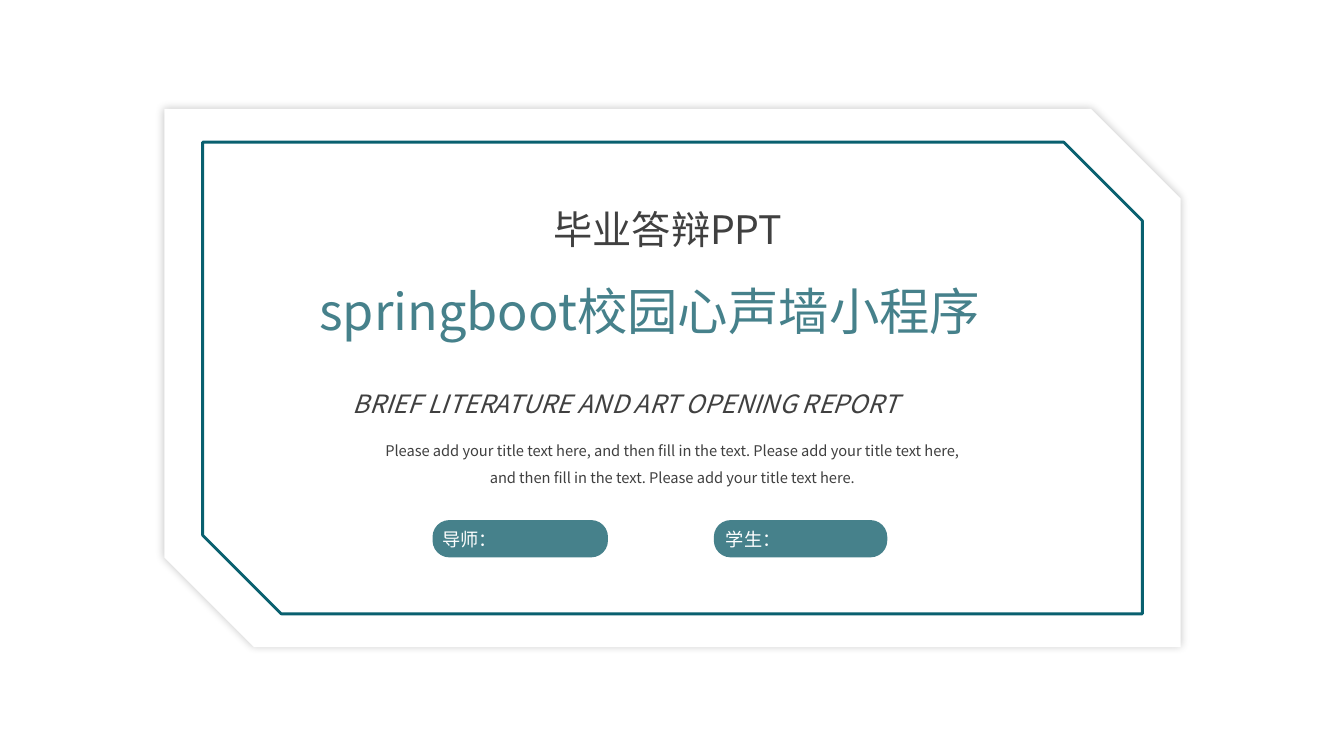
import pptx
import pptx.dml.color
import pptx.enum.shapes
import pptx.enum.text
import pptx.oxml
import pptx.oxml.ns
import pptx.util

Inches = pptx.util.Inches
SHAPE = pptx.enum.shapes.MSO_SHAPE
ALIGN = pptx.enum.text.PP_ALIGN
FONT = "Noto Sans CJK SC"
COLOURS = {"white": "FFFFFF", "teal": "46818B", "frame": "09606F", "text": "404040"}


def colour(name):
    return pptx.dml.color.RGBColor.from_string(COLOURS[name])


def add_panel(shapes, kind, place, fill=None, line=None):
    panel = shapes.add_shape(kind, *map(Inches, place))
    panel.shadow.inherit = False
    if fill:
        panel.fill.solid()
        panel.fill.fore_color.rgb = colour(fill)
    else:
        panel.fill.background()
    if line:
        panel.line.color.rgb = colour(line)
        panel.line.width = pptx.util.Pt(2)
    else:
        panel.line.fill.background()
    return panel


def add_glow_shadow(panel):
    effects = panel.element.spPr.find(pptx.oxml.ns.qn("a:effectLst"))
    effects.append(pptx.oxml.parse_xml(
        f'<a:outerShdw {pptx.oxml.ns.nsdecls("a")} blurRad="{pptx.util.Pt(6)}" '
        'dist="0" dir="0" rotWithShape="0"><a:srgbClr val="000000">'
        '<a:alpha val="22000"/></a:srgbClr></a:outerShdw>'))


def write(box, text, size, tint="text", align=ALIGN.CENTER, italic=False,
          spacing=1.0, right_inset=0.1):
    frame = box.text_frame
    frame.word_wrap = True
    frame.auto_size = pptx.enum.text.MSO_AUTO_SIZE.NONE
    frame.vertical_anchor = pptx.enum.text.MSO_ANCHOR.MIDDLE
    frame.margin_top = frame.margin_bottom = 0
    frame.margin_left = Inches(0.1)
    frame.margin_right = Inches(right_inset)
    para = frame.paragraphs[0]
    para.alignment = align
    para.line_spacing = spacing
    span = para.add_run()
    span.text = text
    span.font.name = FONT
    span.font.size = pptx.util.Pt(size)
    span.font.bold = False
    span.font.italic = italic
    span.font.color.rgb = colour(tint)
    span.font.fill.fore_color.rgb = colour(tint)
    latin = span.font._element.find(pptx.oxml.ns.qn("a:latin"))
    latin.addnext(pptx.oxml.parse_xml(
        f'<a:ea {pptx.oxml.ns.nsdecls("a")} typeface="{FONT}"/>'))


def add_text(shapes, place, text, size, **style):
    write(shapes.add_textbox(*map(Inches, place)), text, size, **style)


def add_title(page, place, text, size, **style):
    title = page.shapes.title
    title.left, title.top, title.width, title.height = map(Inches, place)
    write(title, text, size, **style)
    return title


def add_name_tag(page, text, pill_place, label_place):
    group = page.shapes.add_group_shape()
    pill = add_panel(group.shapes, SHAPE.ROUNDED_RECTANGLE, pill_place, fill="teal")
    pill.adjustments[0] = 0.45
    add_text(group.shapes, label_place, text, 13, tint="white")


def main():
    deck = pptx.Presentation()
    deck.slide_width, deck.slide_height = Inches(13.33), Inches(7.5)
    page = deck.slides.add_slide(deck.slide_layouts[5])

    card = add_panel(page.shapes, SHAPE.SNIP_2_DIAG_RECTANGLE,
                     (1.63, 1.08, 10.08, 5.34), fill="white")
    add_glow_shadow(card)
    border = add_panel(page.shapes, SHAPE.SNIP_2_DIAG_RECTANGLE,
                       (2.01, 1.41, 9.32, 4.68), line="frame")
    title = add_title(page, (1.86, 2.72, 9.62, 0.71), "springboot校园心声墙小程序", 36,
                      tint="teal", right_inset=0.55)
    border.element.addnext(title.element)

    add_text(page.shapes, (4.56, 1.99, 4.22, 0.57), "毕业答辩PPT", 28, right_inset=0.19)
    add_text(page.shapes, (3.4, 3.8, 6.53, 0.4),
             "BRIEF LITERATURE AND ART OPENING REPORT", 18,
             align=ALIGN.JUSTIFY, italic=True)
    add_text(page.shapes, (3.62, 4.26, 6.1, 0.6),
             "Please add your title text here, and then fill in the text. "
             "Please add your title text here, and then fill in the text. "
             "Please add your title text here.", 10.5, spacing=1.5)

    add_name_tag(page, "导师：", (4.29, 5.16, 1.74, 0.37), (3.81, 5.19, 1.7, 0.32))
    add_name_tag(page, "学生：", (7.08, 5.16, 1.72, 0.37), (6.35, 5.19, 2.24, 0.32))
    deck.save("out.pptx")


if __name__ == "__main__":
    main()
